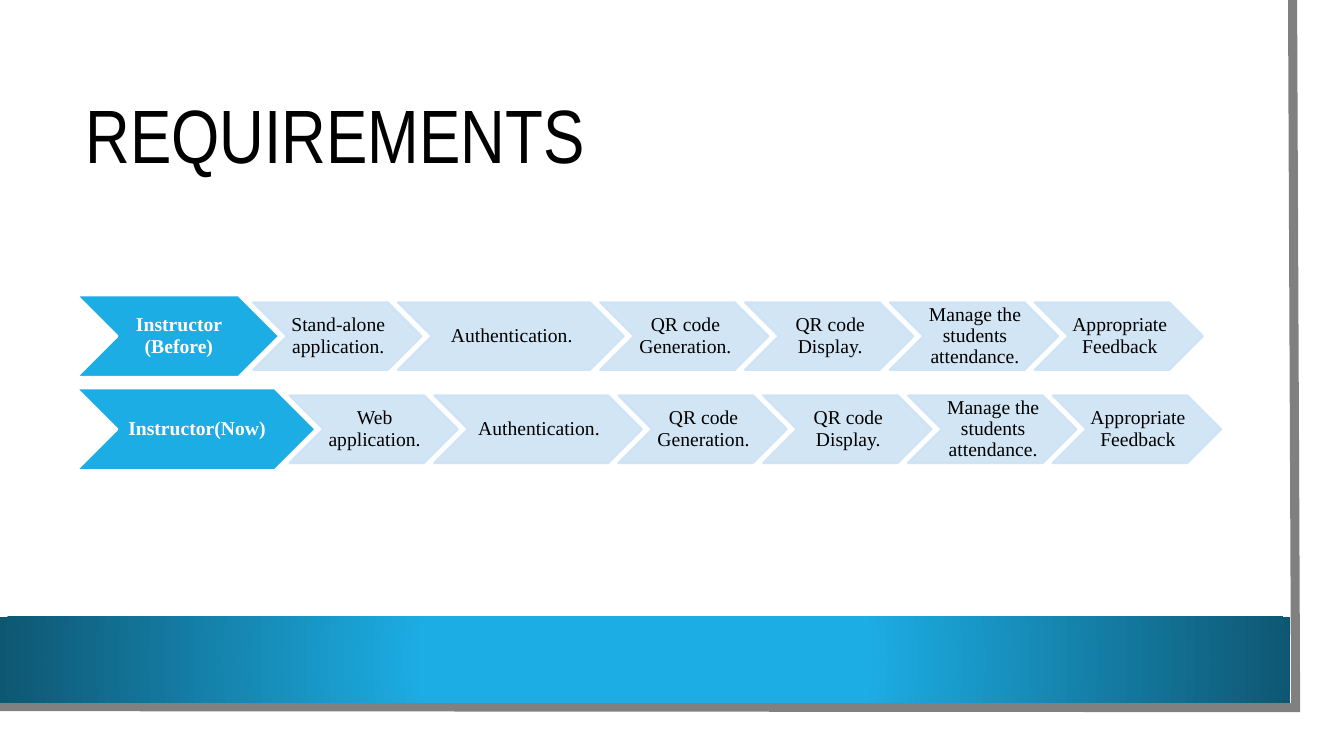
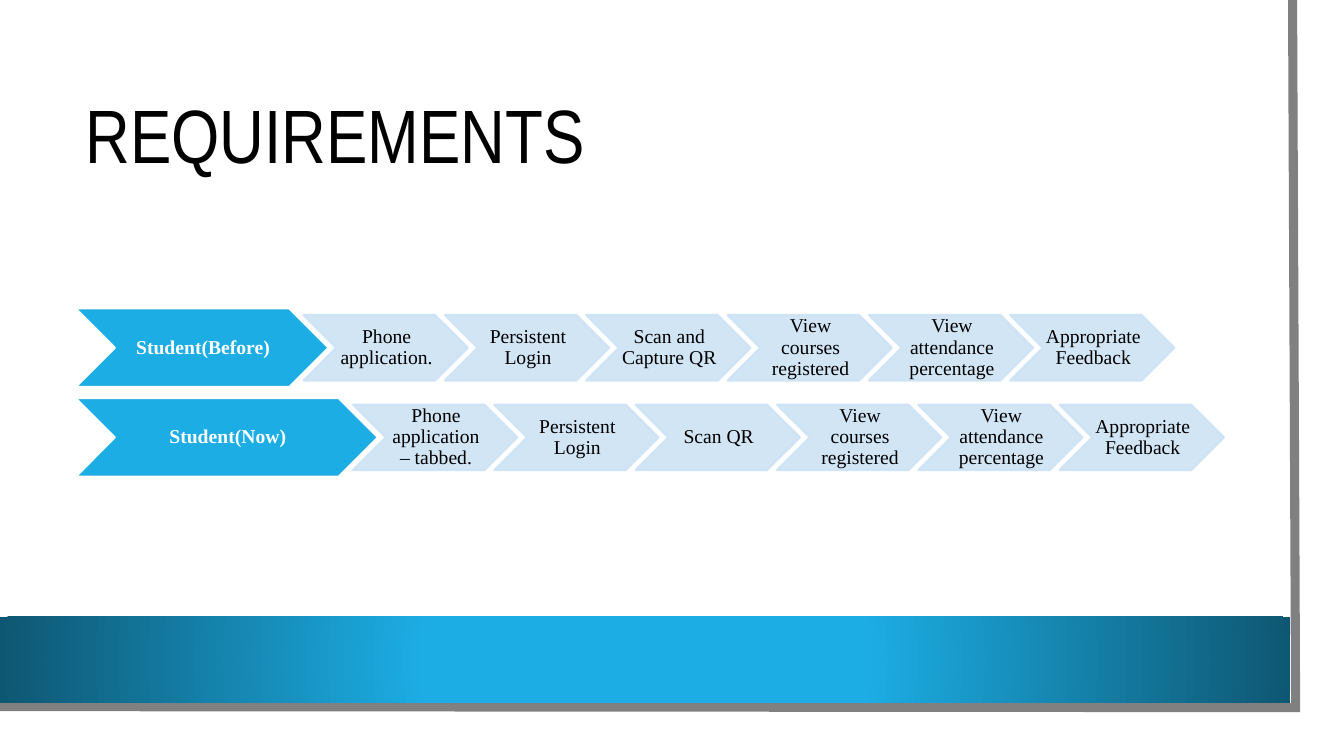
"""Build two requirement slides with chevron process rows."""
from lxml.etree import SubElement
from pptx import Presentation
from pptx.dml.color import RGBColor
from pptx.enum.shapes import MSO_SHAPE
from pptx.enum.text import MSO_ANCHOR, PP_ALIGN
from pptx.oxml.ns import qn
from pptx.util import Inches, Pt

BLUE, DARK_BLUE, PALE_BLUE = "1CADE4", "0E5772", "CDE3F5"
WHITE, BLACK, GRAY = "FFFFFF", "000000", "808080"
TITLE_FONT, BODY_FONT = "Arial Narrow", "Times New Roman"
HEAD_OVERLAP, STEP_OVERLAP, ROW_PITCH = 0.32, 0.14, 1.14

SLIDES = [
    {
        "title": "REQUIREMENTS",
        "left": 0.76, "top": 2.93, "head_h": 0.81, "step": (1.67, 0.67),
        "rows": [
            ("Instructor (Before)", 2.01, [
                "Stand-alone application.", "Authentication.", "QR code Generation.",
                "QR code Display.", "Manage the students attendance.", "Appropriate Feedback"]),
            ("Instructor(Now)", 2.37, [
                "Web application.", "Authentication.", "QR code Generation.",
                "QR code Display.", "Manage the students attendance.", "Appropriate Feedback"]),
        ],
        "wide": {(0, 1): 2.24, (1, 1): 2.06},
    },
    {
        "title": "REQUIREMENTS",
        "left": 0.75, "top": 3.06, "head_h": 0.78, "step": (1.63, 0.65),
        "rows": [
            ("Student(Before)", 2.51, [
                "Phone application.", "Persistent Login", "Scan and Capture QR",
                "View courses registered", "View attendance percentage", "Appropriate Feedback"]),
            ("Student(Now)", 3.0, [
                "Phone application – tabbed.", "Persistent Login", "Scan QR",
                "View courses registered", "View attendance percentage", "Appropriate Feedback"]),
        ],
        "wide": {},
    },
]


def rgb(value):
    """Return a colour from a hex string."""
    return RGBColor.from_string(value)


def add_text(sp, text, font, size, color, bold=False, align=PP_ALIGN.LEFT):
    """Write one wrapped, vertically centred paragraph."""
    tf = sp.text_frame
    tf.word_wrap = True
    tf.vertical_anchor = MSO_ANCHOR.MIDDLE
    p = tf.paragraphs[0]
    p.alignment = align
    p.line_spacing = 0.9
    r = p.add_run()
    r.text = text
    r.font.name = font
    r.font.size = Pt(size)
    r.font.bold = bold
    r.font.color.rgb = rgb(color)


def add_filled(s, kind, box, fill):
    """Add a preset shape with a solid fill and no line or shadow."""
    sp = s.shapes.add_shape(kind, *map(Inches, box))
    sp.shadow.inherit = False
    sp.fill.solid()
    sp.fill.fore_color.rgb = rgb(fill)
    sp.line.fill.background()
    return sp


def add_frame(s):
    """Draw the page, its gray edge and the gradient band."""
    add_filled(s, MSO_SHAPE.RECTANGLE, (0, 0, 13.1, 7.27), WHITE)

    builder = s.shapes.build_freeform(Inches(12.82), 0)
    builder.add_line_segments(
        [(Inches(12.85), Inches(7.02)), (Inches(-0.03), Inches(7.01))], close=False)
    edge = builder.convert_to_shape()
    edge.shadow.inherit = False
    edge.fill.background()
    edge.line.color.rgb = rgb(GRAY)
    edge.line.width = Pt(6.5)
    SubElement(edge.line._get_or_add_ln(), qn("a:miter"), lim="800000")

    band = add_filled(s, MSO_SHAPE.RECTANGLE, (0, 6.12, 12.8, 0.85), BLUE)
    band.fill.gradient()
    for stop, (position, color) in zip(
            band.fill.gradient_stops, [(0.34, BLUE), (1, DARK_BLUE)]):
        stop.position = position
        stop.color.rgb = rgb(color)
    grad = band._element.spPr.find(qn("a:gradFill"))
    grad.remove(grad.find(qn("a:lin")))
    circle = SubElement(grad, qn("a:path"), path="circle")
    SubElement(circle, qn("a:fillToRect"), l="50000", t="50000", r="50000", b="50000")


def add_chevron(s, box, text, head=False):
    """Add a row head or a translucent step with its label."""
    sp = add_filled(s, MSO_SHAPE.CHEVRON, box, BLUE if head else PALE_BLUE)
    sp.line.color.rgb = rgb(WHITE if head else PALE_BLUE)
    sp.line.width = Pt(1.5)
    if not head:
        for color in sp._element.spPr.iter(qn("a:srgbClr")):
            SubElement(color, qn("a:alpha"), val="90000")
    tf = sp.text_frame
    tf.margin_left, tf.margin_right = Inches(0.02), 0
    tf.margin_top = tf.margin_bottom = Inches(0.01)
    add_text(sp, text, BODY_FONT, 14, WHITE if head else BLACK, head, PP_ALIGN.CENTER)


def add_rows(s, data):
    """Lay out each head and its overlapping steps."""
    head_h = data["head_h"]
    step_w, step_h = data["step"]
    for i, (head, head_w, steps) in enumerate(data["rows"]):
        top = data["top"] + i * ROW_PITCH * head_h
        add_chevron(s, (data["left"], top, head_w, head_h), head, True)
        x = data["left"] + head_w - HEAD_OVERLAP * head_h
        for j, step in enumerate(steps):
            w = data["wide"].get((i, j), step_w)
            add_chevron(s, (x, top + (head_h - step_h) / 2, w, step_h), step)
            x += w - STEP_OVERLAP * step_w


def main():
    """Build and save the presentation."""
    prs = Presentation()
    prs.slide_width, prs.slide_height = Inches(13.33), Inches(7.5)
    for data in SLIDES:
        s = prs.slides.add_slide(prs.slide_layouts[6])
        add_frame(s)
        title = s.shapes.add_textbox(*map(Inches, (0.75, 0.75, 11.37, 1.26)))
        add_text(title, data["title"], TITLE_FONT, 54, BLACK)
        add_rows(s, data)
    prs.save("out.pptx")


if __name__ == "__main__":
    main()
